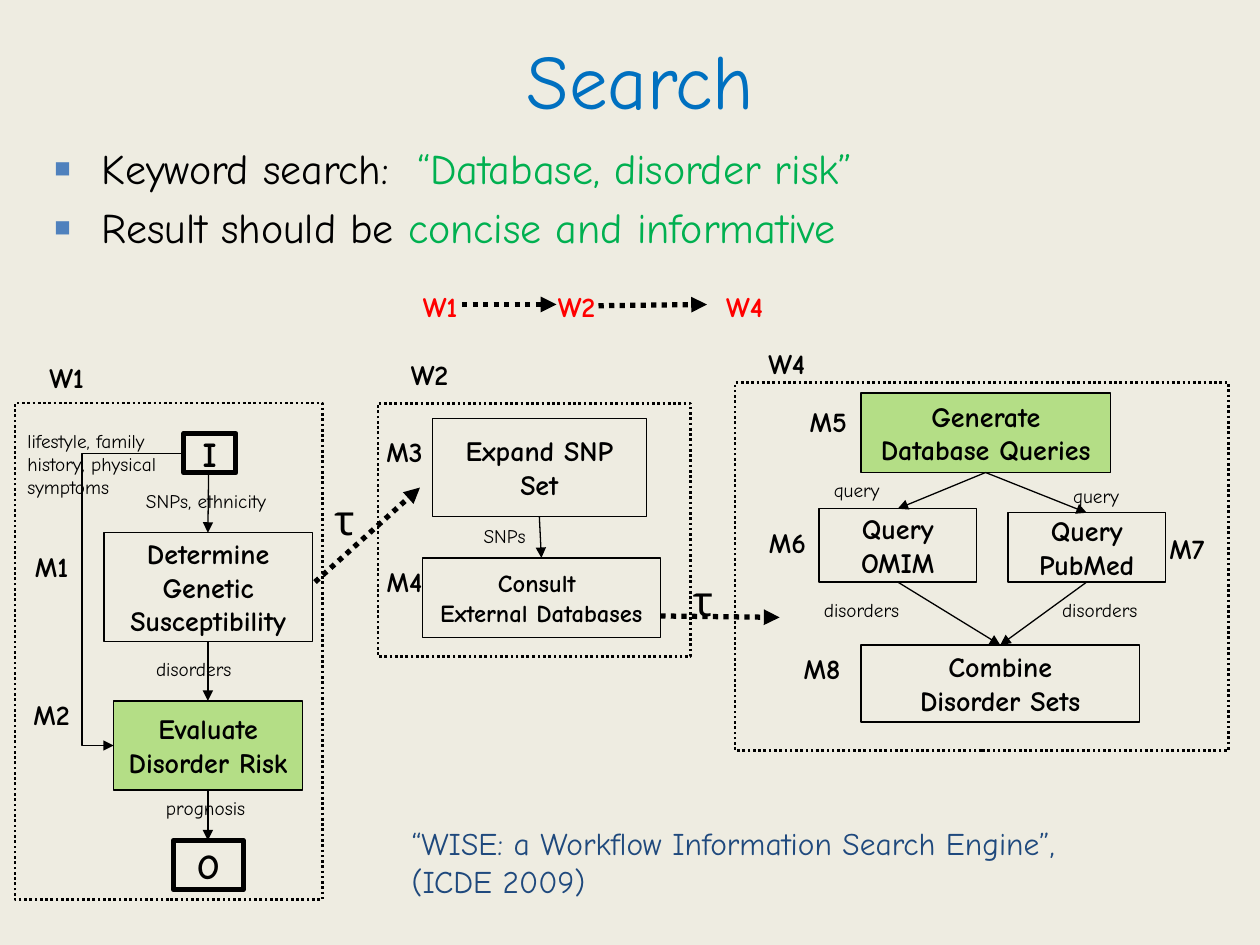
"""Build the slide on keyword search over nested workflows."""
from lxml import etree
from pptx import Presentation
from pptx import util as u
from pptx.dml.color import RGBColor
from pptx.enum import dml, shapes, text
from pptx.oxml import ns

Pt = u.Pt
FONT = "Comic Neue"
BLACK, RED, GREEN, BLUE, NAVY = "000000", "FF0000", "00B050", "0070C0", "1F497D"
LEFT, CENTER = text.PP_ALIGN.LEFT, text.PP_ALIGN.CENTER


def color(hex_string):
    return RGBColor.from_string(hex_string)


def write(shape, lines, size, align=LEFT, bold=False, wrap=True, middle=False):
    frame = shape.text_frame
    frame.word_wrap = wrap
    frame.vertical_anchor = text.MSO_ANCHOR.MIDDLE if middle else text.MSO_ANCHOR.TOP
    for index, line in enumerate(lines):
        paragraph = frame.paragraphs[0] if index == 0 else frame.add_paragraph()
        paragraph.alignment = align
        for words, shade in line:
            run = paragraph.add_run()
            run.text = words
            run.font.name = FONT
            run.font.size = Pt(size)
            run.font.bold = bold
            run.font.color.rgb = color(shade)
    return frame.paragraphs


presentation = Presentation()
presentation.slide_width, presentation.slide_height = Pt(720), Pt(540)
slide = presentation.slides.add_slide(presentation.slide_layouts[6])
slide.background.fill.solid()
slide.background.fill.fore_color.rgb = color("EEECE1")

title = slide.shapes.add_textbox(Pt(42), Pt(0), Pt(648), Pt(90))
write(title, [[("Search", BLUE)]], 44, CENTER, middle=True)

body = slide.shapes.add_textbox(Pt(24), Pt(78), Pt(678), Pt(126))
bullets = write(body, [
    [("Keyword search:  ", BLACK), ("“Database, disorder risk”", GREEN)],
    [("Result should be ", BLACK), ("concise and informative", GREEN)],
], 24)
bullets[1].space_before = Pt(4.8)
for paragraph in bullets:
    properties = paragraph._p.get_or_add_pPr()
    properties.set("marL", str(Pt(27)))
    properties.set("indent", str(-Pt(27)))
    bullet_color = etree.SubElement(properties, ns.qn("a:buClr"))
    etree.SubElement(bullet_color, ns.qn("a:srgbClr"), val="4F81BD")
    etree.SubElement(properties, ns.qn("a:buSzPct"), val="65000")
    etree.SubElement(properties, ns.qn("a:buFont"), typeface="Arial")
    etree.SubElement(properties, ns.qn("a:buChar"), char="■")

boxes = [
    ([], 0, 8.6, 230.4, 175.7, 283.7, 1.5, None),
    ([], 0, 216, 230.4, 178.6, 144.7, 1.5, None),
    ([], 0, 420, 218.6, 282, 210.2, 1.5, None),
    (["I"], 20, 105, 247.7, 29.8, 22.5, 3, None),
    (["O"], 20, 99.2, 480.2, 39.8, 28.2, 3, None),
    (["Determine", "Genetic", "Susceptibility"], 16, 59.5, 304.4, 119, 62.3, 0.75, None),
    (["Evaluate", "Disorder Risk"], 16, 65, 400.5, 108, 51, 0.75, "B4DE86"),
    (["Expand SNP", "Set"], 16, 247, 239.3, 122.4, 55.7, 0.75, None),
    (["Consult ", "External Databases"], 14, 241.3, 318.8, 136, 45.5, 0.75, None),
    (["Generate", "Database Queries"], 16, 492, 224.5, 142.6, 45.5, 0.75, "B4DE86"),
    (["Query", "OMIM"], 16, 468, 290.7, 90, 41.9, 0.75, None),
    (["Query", "PubMed"], 16, 576, 293, 90, 39.6, 0.75, None),
    (["Combine", "Disorder Sets"], 16, 492, 368.6, 159.2, 44, 0.75, None),
]
for lines, size, left, top, width, height, weight, fill in boxes:
    box = slide.shapes.add_shape(
        shapes.MSO_SHAPE.RECTANGLE, Pt(left), Pt(top), Pt(width), Pt(height))
    box.shadow.inherit = False
    box.line.color.rgb = color(BLACK)
    box.line.width = Pt(weight)
    if fill:
        box.fill.solid()
        box.fill.fore_color.rgb = color(fill)
    else:
        box.fill.background()
    if lines:
        write(box, [[(line, BLACK)] for line in lines], size, CENTER, True, False, True)
    else:
        box.line.dash_style = dml.MSO_LINE.ROUND_DOT

arrows = [
    (119.2, 270.2, 118.8, 304.4, 0.75),
    (118.8, 366.7, 118.8, 400.5, 0.75),
    (118.8, 451.5, 118.8, 480.2, 0.75),
    (105, 259, 65, 426, 0.75),
    (308.2, 295, 309.4, 318.8, 0.75),
    (563.2, 270, 513, 290.7, 0.75),
    (563.2, 270, 621, 293, 0.75),
    (513, 332.6, 571.6, 368.6, 0.75),
    (621, 332.6, 571.6, 368.6, 0.75),
    (180, 332.6, 240, 278.6, 3),
    (377.3, 352, 445.5, 352.8, 3),
    (264, 174, 318, 174, 3),
    (342, 174.7, 404, 174, 3),
]
for start_x, start_y, end_x, end_y, weight in arrows:
    bent = (start_x, start_y) == (105, 259)
    kind = shapes.MSO_CONNECTOR.ELBOW if bent else shapes.MSO_CONNECTOR.STRAIGHT
    arrow = slide.shapes.add_connector(
        kind, Pt(start_x), Pt(start_y), Pt(end_x), Pt(end_y))
    arrow.line.color.rgb = color(BLACK)
    arrow.line.width = Pt(weight)
    if weight == 3:
        arrow.line.dash_style = dml.MSO_LINE.ROUND_DOT
    if bent:
        guides = arrow._element.spPr.find(ns.qn("a:prstGeom")).get_or_add_avLst()
        etree.SubElement(guides, ns.qn("a:gd"), name="adj1", fmla="val 145400")
    etree.SubElement(arrow.line._get_or_add_ln(), ns.qn("a:tailEnd"), type="triangle")
    etree.SubElement(arrow._element.spPr, ns.qn("a:effectLst"))

names = [
    ("W1", 8.6, 202.3, 59, BLACK), ("W2", 216, 200.9, 59, BLACK),
    ("W4", 420, 194.4, 59, BLACK),
    ("W1", 222, 162, 59, RED), ("W2", 300, 162, 59, RED), ("W4", 396, 162, 59, RED),
    ("M1", 0, 310.3, 59, BLACK), ("M2", 0, 395.3, 59, BLACK),
    ("M3", 201.6, 244.8, 59, BLACK), ("M4", 201.6, 319, 59, BLACK),
    ("M5", 411.8, 227.5, 123, BLACK), ("M6", 408.2, 296.6, 83.5, BLACK),
    ("M7", 636.5, 300.2, 83.5, BLACK), ("M8", 408.2, 368.6, 123, BLACK),
]
for name, left, top, width, shade in names:
    label = slide.shapes.add_textbox(Pt(left), Pt(top), Pt(width), Pt(26.6))
    write(label, [[(name, shade)]], 16, CENTER, True)

for left, top, align in [(174.2, 278.6, CENTER), (388.8, 324.7, LEFT)]:
    label = slide.shapes.add_textbox(Pt(left), Pt(top), Pt(45.4), Pt(36))
    write(label, [[("τ", BLACK)]], 24, align)

data_labels = [
    ("SNPs, ethnicity", 76.3, 275.8, 90, 20.6, False),
    ("lifestyle, family history, physical symptoms", 8.6, 241.9, 113, 47.5, True),
    ("disorders", 82.1, 372.2, 60.5, 20.6, False),
    ("prognosis", 87.8, 451.4, 62.6, 20.6, False),
    ("SNPs", 269.3, 295.9, 43.2, 20.6, False),
    ("disorders", 463.7, 338.4, 89.3, 20.6, True),
    ("disorders", 599.8, 338.4, 89.3, 20.6, True),
    ("query", 469.4, 270, 62.6, 20.6, True),
    ("query", 606.2, 272.9, 62.6, 20.6, True),
]
for words, left, top, width, height, wrap in data_labels:
    label = slide.shapes.add_textbox(Pt(left), Pt(top), Pt(width), Pt(height))
    write(label, [[(words, BLACK)]], 11, wrap=wrap)

citation = slide.shapes.add_textbox(Pt(228.2), Pt(467.3), Pt(430.6), Pt(72.7))
write(citation, [
    [("“WISE: a Workflow Information Search Engine”,", NAVY)],
    [("(ICDE 2009)", NAVY)],
], 18, wrap=False)

presentation.save("out.pptx")
